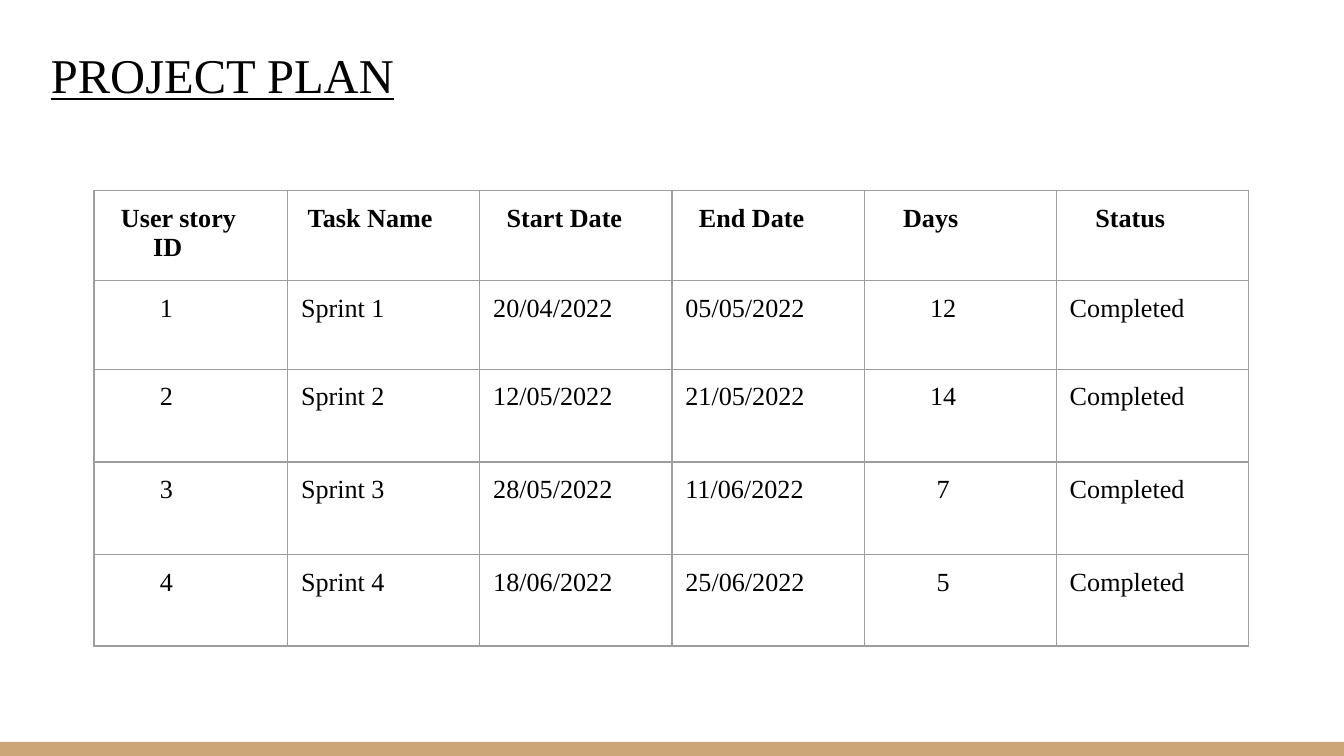
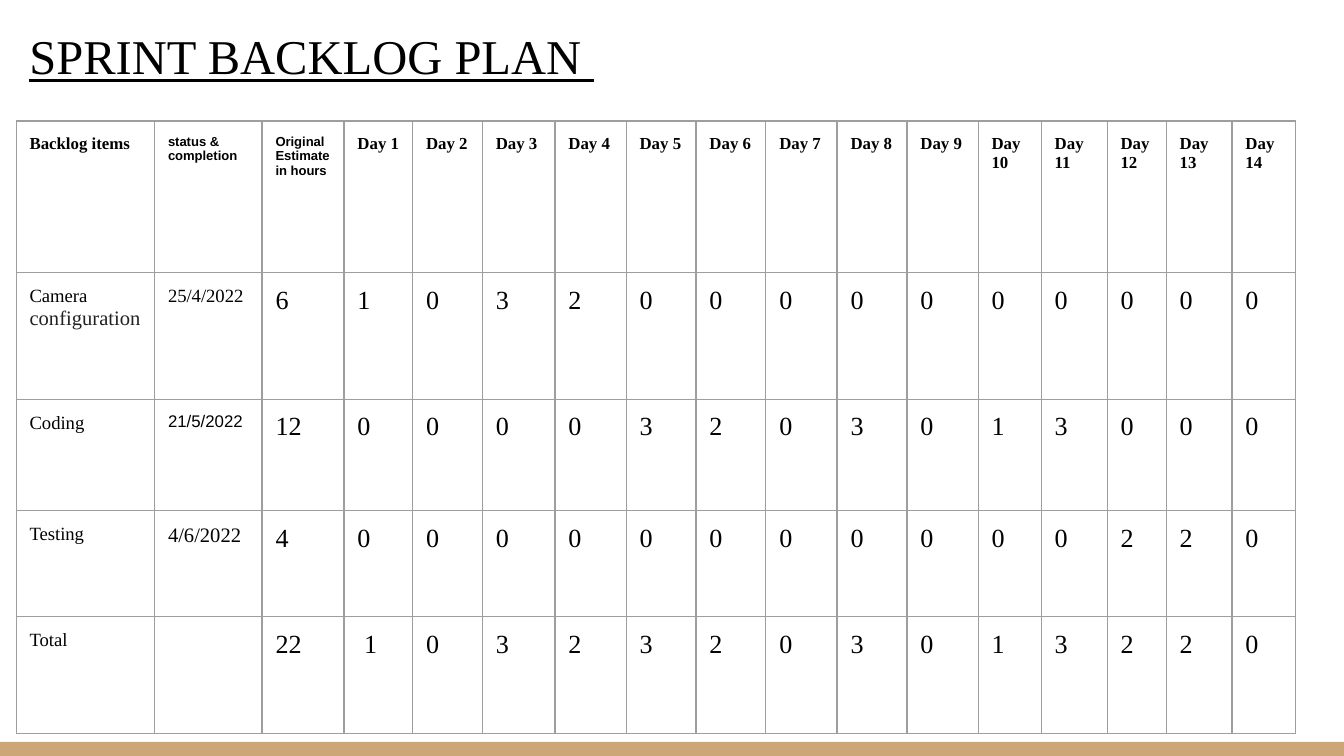
import dataclasses

import lxml.etree
import pptx
import pptx.dml.color
import pptx.enum.shapes
import pptx.enum.text
import pptx.oxml.ns
import pptx.util

Inches = pptx.util.Inches
Pt = pptx.util.Pt

SERIF = "Times New Roman"
SANS = "Arial"
BLACK = "000000"
CHARCOAL = "202124"
TAN = "CCA677"
GRID_GREY = "9E9E9E"
SLIDE_WIDTH = 10
SLIDE_HEIGHT = SLIDE_WIDTH * 9 / 16
BAND_TOP = 5.52
INSET = 0.1


@dataclasses.dataclass
class Line:
    """One paragraph of a table cell; indent is in inches."""
    text: str
    size: float = 14
    bold: bool = False
    font: str = SERIF
    indent: float = 0


def rgb(value):
    return pptx.dml.color.RGBColor.from_string(value)


def set_font(font, size, name=SERIF, color=BLACK, bold=False):
    font.size = Pt(size)
    font.name = name
    font.bold = bold
    font.color.rgb = rgb(color)


def set_insets(target):
    for side in ("left", "right", "top", "bottom"):
        setattr(target, f"margin_{side}", Inches(INSET))


def set_borders(cell):
    properties = cell._tc.get_or_add_tcPr()
    for tag in ("a:lnL", "a:lnR", "a:lnT", "a:lnB"):
        line = lxml.etree.SubElement(
            properties, pptx.oxml.ns.qn(tag), w=str(Pt(0.75)))
        fill = lxml.etree.SubElement(line, pptx.oxml.ns.qn("a:solidFill"))
        lxml.etree.SubElement(
            fill, pptx.oxml.ns.qn("a:srgbClr"), val=GRID_GREY)


class SlideWriter:
    """Holds the deck, its shared style and the current slide."""

    def __init__(self):
        self.deck = pptx.Presentation()
        self.deck.slide_width = Inches(SLIDE_WIDTH)
        self.deck.slide_height = Inches(SLIDE_HEIGHT)
        self.page = None

    def start_page(self, title, left, top):
        self.page = self.deck.slides.add_slide(self.deck.slide_layouts[6])
        self.add_band()
        self.add_title(title, left, top)

    def add_band(self):
        band = self.page.shapes.add_shape(
            pptx.enum.shapes.MSO_SHAPE.RECTANGLE, Inches(0), Inches(BAND_TOP),
            Inches(SLIDE_WIDTH), Inches(SLIDE_HEIGHT - BAND_TOP))
        band.shadow.inherit = False
        band.fill.solid()
        band.fill.fore_color.rgb = rgb(TAN)
        band.line.fill.background()

    def add_title(self, text, left, top):
        box = self.page.shapes.add_textbox(
            Inches(left), Inches(top), Inches(9.32), Inches(0.91))
        frame = box.text_frame
        frame.word_wrap = True
        frame.vertical_anchor = pptx.enum.text.MSO_ANCHOR.BOTTOM
        set_insets(frame)
        para = frame.paragraphs[0]
        para.text = text
        set_font(para.font, 26)
        para.font.underline = True

    def add_table(self, left, top, widths, heights, rows):
        """Each cell is a list of Line objects, one for each paragraph."""
        table = self.page.shapes.add_table(
            len(heights), len(widths), Inches(left), Inches(top),
            Inches(sum(widths)), Inches(sum(heights))).table
        table.first_row = False
        table.horz_banding = False
        for column, width in zip(table.columns, widths):
            column.width = Inches(width)
        for row, height, contents in zip(table.rows, heights, rows):
            row.height = Inches(height)
            for cell, lines in zip(row.cells, contents):
                self.fill_cell(cell, lines)
        return table

    def fill_cell(self, cell, lines):
        set_insets(cell)
        set_borders(cell)
        cell.fill.background()
        frame = cell.text_frame
        for number, line in enumerate(lines):
            para = frame.add_paragraph() if number else frame.paragraphs[0]
            para.text = line.text
            if line.indent:
                properties = para._p.get_or_add_pPr()
                properties.set("marL", str(Inches(line.indent)))
                properties.set("indent", "0")
            set_font(para.font, line.size, line.font, bold=line.bold)


def build_project_plan(writer):
    writer.start_page("PROJECT PLAN", 0.28, -0.04)
    headings = [
        [("User story", 0.1), ("ID", 0.34)],
        [("Task Name", 0.05)],
        [("Start Date", 0.1)],
        [("End Date", 0.1)],
        [("Days", 0.19)],
        [("Status", 0.19)],
    ]
    sprints = [
        ("20/04/2022", "05/05/2022", "12"),
        ("12/05/2022", "21/05/2022", "14"),
        ("28/05/2022", "11/06/2022", "7"),
        ("18/06/2022", "25/06/2022", "5"),
    ]
    rows = [[[Line(text, bold=True, indent=indent) for text, indent in heading]
             for heading in headings]]
    for number, (start, end, days) in enumerate(sprints, 1):
        rows.append([
            [Line(str(number), indent=0.39)],
            [Line(f"Sprint {number}")],
            [Line(start)],
            [Line(end)],
            [Line(days, indent=0.39 if len(days) == 2 else 0.44)],
            [Line("Completed")],
        ])
    writer.add_table(0.7, 1.42, [1.44] + [1.43] * 5,
                     [0.59, 0.66, 0.69, 0.69, 0.68], rows)


def build_sprint_backlog(writer):
    writer.start_page("SPRINT BACKLOG PLAN ", 0.12, -0.18)
    widths = [1.03, 0.8, 0.61, 0.51, 0.52, 0.54, 0.53, 0.52, 0.52, 0.53,
              0.52, 0.53, 0.47, 0.49, 0.44, 0.49, 0.47]
    header = [[Line("Backlog items", 9, True)]]
    header += [[Line(text, 7, True, SANS)] for text in
               ("status & completion", "Original Estimate in hours")]
    header += [[Line(f"Day {day}", 9, True)] for day in range(1, 15)]
    # Item, completion date, estimate in hours, hours on each of the 14 days
    backlog = [
        ("Camera ", [Line("25/4/2022", 10)], 6, "10320000000000"),
        ("Coding", [Line("21/5/2022", 9, font=SANS)], 12, "00003203013000"),
        ("Testing", [Line("4/6/2022", 11)], 4, "00000000000220"),
        ("Total", [], 22, "10323203013220"),
    ]
    rows = [header]
    for item, completion, estimate, hours in backlog:
        rows.append([[Line(item, 10)], completion, [Line(str(estimate))]]
                    + [[Line(hour)] for hour in hours])
    total_day_one = rows[-1][3][0]
    total_day_one.indent = 0.05
    table = writer.add_table(0.12, 0.9, widths,
                             [1.13, 0.94, 0.83, 0.79, 0.87], rows)
    span = table.cell(1, 0).text_frame.paragraphs[0].add_run()
    span.text = "configuration"
    set_font(span.font, 11, color=CHARCOAL)


def main():
    writer = SlideWriter()
    build_project_plan(writer)
    build_sprint_backlog(writer)
    writer.deck.save("out.pptx")


if __name__ == "__main__":
    main()
